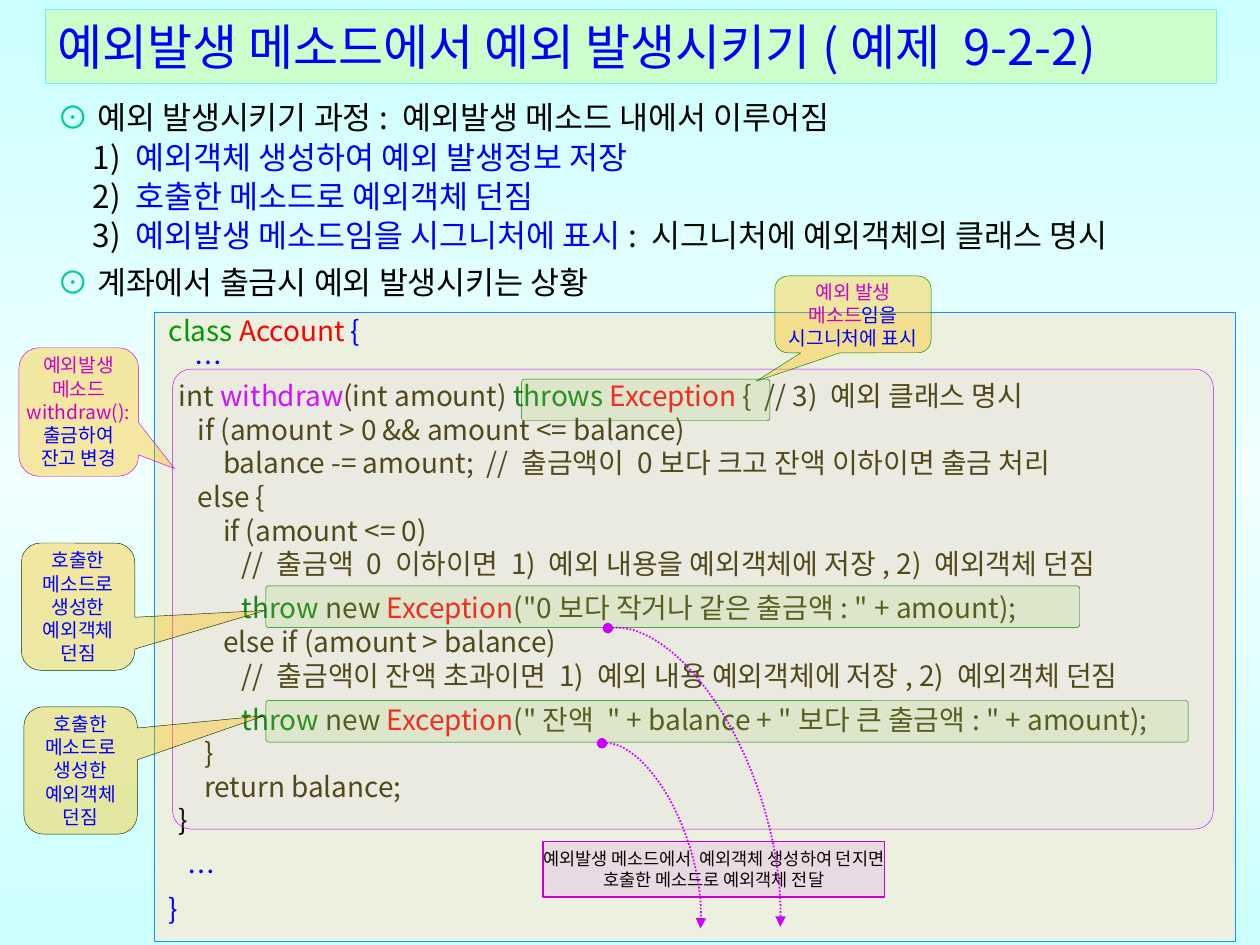
from copy import deepcopy

from lxml import etree
from pptx import Presentation
from pptx.dml.color import RGBColor
from pptx.enum.dml import MSO_LINE
from pptx.enum.shapes import MSO_SHAPE
from pptx.enum.text import MSO_ANCHOR, PP_ALIGN
from pptx.oxml.ns import qn
from pptx.util import Inches, Pt

RECT, ROUND = MSO_SHAPE.RECTANGLE, MSO_SHAPE.ROUNDED_RECTANGLE
CALLOUT, ARC = MSO_SHAPE.ROUNDED_RECTANGULAR_CALLOUT, MSO_SHAPE.ARC
TOP, MIDDLE = MSO_ANCHOR.TOP, MSO_ANCHOR.MIDDLE
LEFT, CENTER = PP_ALIGN.LEFT, PP_ALIGN.CENTER
DOTTED = MSO_LINE.ROUND_DOT
FONT = "Noto Sans CJK KR"
BLUE, GREEN, RED, OLIVE = "0000FF", "008000", "FF0000", "3F3E00"
PURPLE, MAGENTA, BLACK, INK = "CC00FF", "CC00CC", "000000", "080800"
TEAL = "00CC99"


def add_box(kind, place, fill=None, alpha=None, line=BLACK, width=0.25, adjust=()):
    """Add a preset shape; alpha is the opacity of the fill in percent."""
    box = page.shapes.add_shape(kind, *[Inches(n) for n in place])
    box.shadow.inherit = False
    for index, value in enumerate(adjust):
        box.adjustments[index] = value
    if fill:
        box.fill.solid()
        box.fill.fore_color.rgb = RGBColor.from_string(fill)
    else:
        box.fill.background()
    if alpha:
        color = box.element.spPr.find(qn("a:solidFill")).find(qn("a:srgbClr"))
        etree.SubElement(color, qn("a:alpha"), val=str(alpha * 1000))
    box.line.color.rgb = RGBColor.from_string(line)
    box.line.width = Pt(width)
    return box


def add_text(box, spans, size=16, align=LEFT, indent=0, before=0, spacing=None):
    """Write one paragraph; each span is (text, colour) or (text, colour, size)."""
    frame = box.text_frame
    first = frame.paragraphs[0]
    para = frame.add_paragraph() if first.runs else first
    para.alignment = align
    para.space_before = Pt(before)
    if spacing:
        para.line_spacing = spacing
    if indent:
        properties = para._p.get_or_add_pPr()
        properties.set("marL", str(Inches(indent)))
        properties.set("indent", "0")
    for text, color, *own_size in spans:
        span = para.add_run()
        span.text = text
        span.font.size = Pt(own_size[0] if own_size else size)
        span.font.name = FONT
        span.font.color.rgb = RGBColor.from_string(color)
        etree.SubElement(span._r.get_or_add_rPr(), qn("a:ea"), typeface=FONT)


deck = Presentation()
deck.slide_width, deck.slide_height = Inches(10), Inches(7.5)
page = deck.slides.add_slide(deck.slide_layouts[6])

# Background gradient
backdrop = page.background.fill
backdrop.gradient()
backdrop.gradient_angle = 90
stops = page.element.find(".//" + qn("a:gsLst"))
stops.insert(1, deepcopy(stops[0]))
for stop, color, position in zip(
    backdrop.gradient_stops, ("CCFFFF", "F0FFFF", "CCFFFF"), (0, 0.5, 1)
):
    stop.color.rgb = RGBColor.from_string(color)
    stop.position = position

# Code listing: indent, space before, line spacing, spans
code = add_box(RECT, (1.22, 2.48, 8.58, 4.99), "EBF1DE", line="0099FF")
code.text_frame.word_wrap = True
code.text_frame.vertical_anchor = TOP
code.text_frame.margin_left = code.text_frame.margin_right = 0
code_lines = [
    (0.12, 2.4, Pt(16), [("class ", "009900"), ("Account", RED), (" {", BLUE)]),
    (0.32, 2.4, Pt(16), [("…", BLUE)]),
    (0.2, 0, None, [("int ", OLIVE), ("withdraw", PURPLE), ("(int amount)", OLIVE),
                    (" throws ", GREEN), ("Exception ", RED),
                    ("{  // 3) 예외 클래스 명시", OLIVE)]),
    (0.35, 0, None, [("if (amount > 0 && amount <= balance)", OLIVE)]),
    (0.55, 0, None, [("balance -= amount;  // 출금액이 0보다 크고 잔액 이하이면 출금 처리", OLIVE)]),
    (0.35, 0, None, [("else {", OLIVE)]),
    (0.55, 0, None, [("if (amount <= 0)", OLIVE)]),
    (0.7, 0, None, [("// 출금액 0 이하이면 1) 예외 내용을 예외객체에 저장, 2) 예외객체 던짐", OLIVE)]),
    (0.7, 6, None, [("throw ", GREEN), ("new ", OLIVE), ("Exception", RED),
                    ('("0보다 작거나 같은 출금액: " + amount);', OLIVE)]),
    (0.55, 0, None, [("else if (amount > balance)", OLIVE)]),
    (0.7, 0, None, [("// 출금액이 잔액 초과이면 1) 예외 내용 예외객체에 저장, 2) 예외객체 던짐", OLIVE)]),
    (0.7, 6, None, [("throw ", GREEN), ("new ", OLIVE), ("Exception", RED),
                    ('("잔액 " + balance + "보다 큰 출금액: " + amount);', OLIVE)]),
    (0.4, 0, None, [("}", OLIVE)]),
    (0.4, 0, None, [("return balance;", OLIVE)]),
    (0.2, 0, None, [("}", BLACK)]),
    (0.27, 21.6, Pt(8), [("…", BLUE)]),
    (0.12, 12.8, Pt(8), [("}", BLUE)]),
]
for indent, before, spacing, spans in code_lines:
    add_text(code, spans, indent=indent, before=before, spacing=spacing)

# Frame around the method
add_box(ROUND, (1.37, 2.93, 8.26, 3.65), "F1B3FF", 10, PURPLE, adjust=[0.04])

# Explanation list
outline = page.shapes.add_textbox(Inches(0.36), Inches(0.74), Inches(9.33), Inches(1.75))
outline.text_frame.word_wrap = True
bullet = [("⊙", TEAL), (" ", "66FFFF", 20)]
outline_lines = [
    (0, 2.8, bullet + [("예외 발생시키기 과정: 예외발생 메소드 내에서 이루어짐", BLACK)]),
    (0.28, 2.8, [("1) ", BLACK), ("예외객체 생성하여 예외 발생정보 저장", BLUE)]),
    (0.28, 2.8, [("2) ", BLACK), ("호출한 메소드로 예외객체 던짐", BLUE)]),
    (0.28, 2.8, [("3) ", BLACK), ("예외발생 메소드임을 시그니처에 표시", BLUE),
                 (": 시그니처에 예외객체의 클래스 명시", INK)]),
    (0, 6, bullet + [("계좌에서 출금시 예외 발생시키는 상황", BLACK)]),
]
for indent, before, spans in outline_lines:
    add_text(outline, spans, size=18, indent=indent, before=before, spacing=0.9)

# Title
title = add_box(RECT, (0.36, 0.07, 9.29, 0.59), "CCFFCC", line="6FF5EF")
title.text_frame.vertical_anchor = MIDDLE
add_text(title, [("예외발생 메소드에서 예외 발생시키기(예제 9-2-2)", BLUE)], size=28)

# Highlights on the throws and throw code
for place in ((4.14, 3.01, 1.97, 0.33), (2.11, 4.65, 6.46, 0.33), (2.11, 5.56, 7.32, 0.33)):
    add_box(ROUND, place, "92D050", 15, GREEN, adjust=[0.07])

# Callouts: place, pointer tip, line colour, paragraphs
throw_note = [[("호출한 메소드로", BLUE)], [("생성한 예외객체 던짐", BLUE)]]
callouts = [
    ((0.15, 2.76, 0.95, 1.02), (0.8, 0.44), PURPLE,
     [[("예외발생 메소드 withdraw():", MAGENTA)], [("출금하여 잔고 변경", BLUE)]]),
    ((6.15, 2.19, 1.24, 0.61), (-0.62, 0.87), GREEN,
     [[("예외 발생", MAGENTA)], [("메소드", MAGENTA), ("임을", BLUE)],
      [("시그니처에 표시", BLUE)]]),
    ((0.17, 4.31, 0.9, 1.01), (1.65, 0.03), "003300", throw_note),
    ((0.19, 5.61, 0.9, 1.01), (1.62, -0.43), "003300", throw_note),
]
for place, tip, line, paragraphs in callouts:
    callout = add_box(CALLOUT, place, "FFC000", 37, line, adjust=[*tip, 0.17])
    frame = callout.text_frame
    frame.word_wrap = True
    frame.vertical_anchor = TOP
    frame.margin_left = frame.margin_right = frame.margin_top = frame.margin_bottom = 0
    for spans in paragraphs:
        add_text(callout, spans, size=11, align=CENTER)

# Summary note
note = add_box(RECT, (4.31, 6.68, 2.71, 0.44), "DE53FF", 15, MAGENTA, 0.75)
note.text_frame.word_wrap = True
note.text_frame.vertical_anchor = TOP
note.text_frame.margin_left = note.text_frame.margin_right = 0
add_text(note, [("예외발생 메소드에서  예외객체 생성하여 던지면 호출한 메소드로 예외객체 전달", INK)],
         size=10, align=CENTER)

# Dotted arcs from each throw to the caller
for place, end in (((4.59, 5.86, 0.9, 1.96), 38.08), ((4.46, 4.92, 1.62, 3.33), 34.66)):
    arc = add_box(ARC, place, line=PURPLE, width=1, adjust=[163.4, end])
    arc.rotation = 342.1
    arc.line.dash_style = DOTTED
    outline_xml = arc.element.spPr.find(qn("a:ln"))
    etree.SubElement(outline_xml, qn("a:headEnd"), type="oval")
    etree.SubElement(outline_xml, qn("a:tailEnd"), type="triangle")

deck.save("out.pptx")
